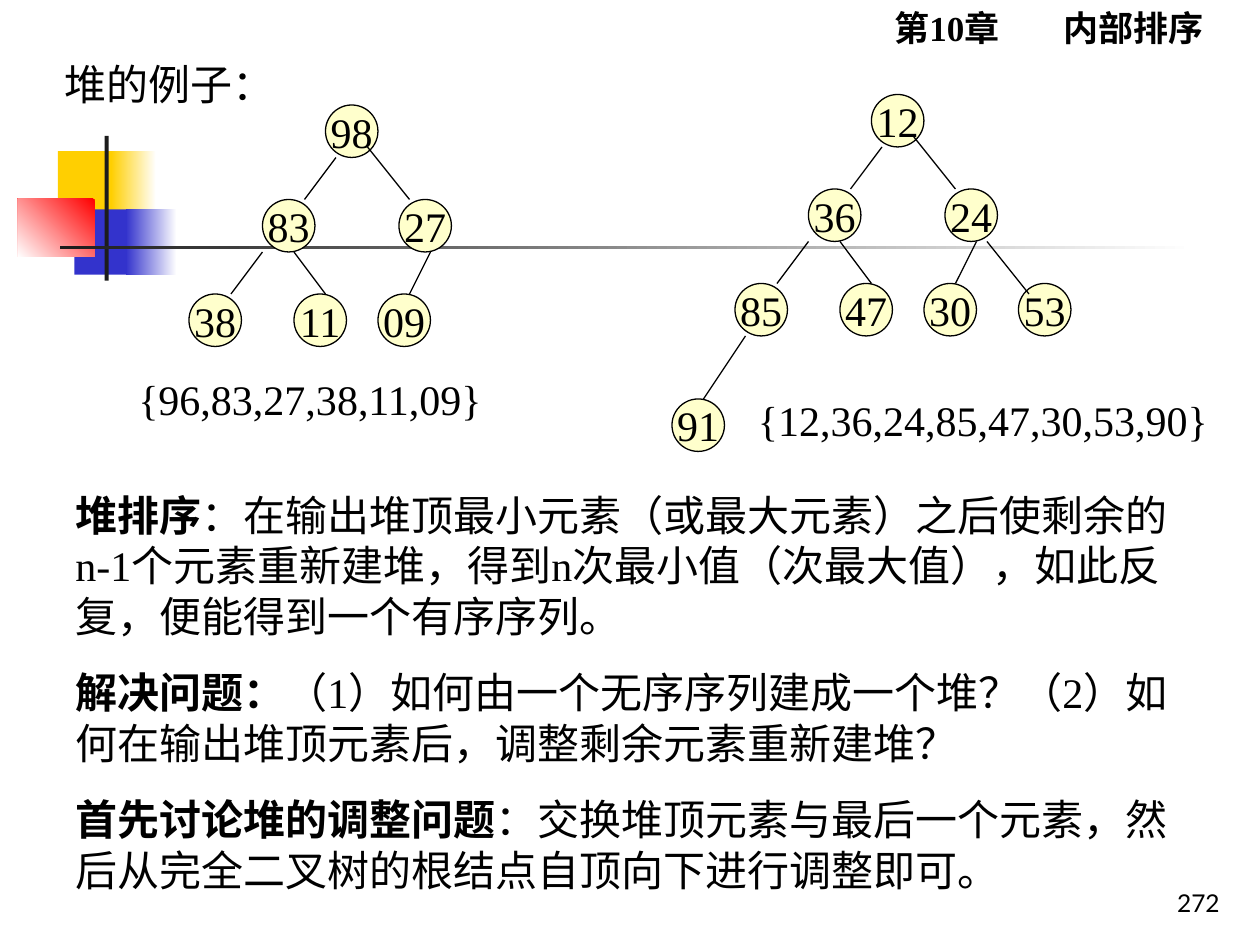
from lxml import etree
from pptx import Presentation
from pptx.dml.color import RGBColor
from pptx.enum.shapes import MSO_CONNECTOR as Connector, MSO_SHAPE as Shape
from pptx.enum.text import MSO_ANCHOR as Anchor, PP_ALIGN as Align
from pptx.oxml.ns import qn
from pptx.util import Cm, Pt

BLACK = RGBColor(0x00, 0x00, 0x00)
WHITE = RGBColor(0xFF, 0xFF, 0xFF)
CREAM = RGBColor(0xFF, 0xFF, 0xCC)
YELLOW = RGBColor(0xFF, 0xCF, 0x01)
BLUE = RGBColor(0x33, 0x33, 0xCC)
RED = RGBColor(0xFF, 0x00, 0x00)
CHARCOAL = RGBColor(0x1C, 0x1C, 0x1C)

# Trees sit on a grid of twelve cells to the inch; offsets start at the root
CELL = 2.54 / 12
NODE_CELLS = 5
NODE_OFFSETS = [(0, 0), (-6, 9), (7, 9), (-13, 18), (-3, 18), (5, 18),
                (14, 18), (-19, 29)]
# Branch to each node after the root, in the same order
BRANCHES = [((1, 5), (-2, 9)), ((4, 4), (8, 9)), ((-6, 14), (-9, 18)),
            ((-3, 14), (0, 18)), ((10, 14), (8, 18)), ((11, 14), (15, 19)),
            ((-12, 23), (-16, 29))]


class HeapSlide:
    serif = "Times New Roman"
    body_size = 24
    paragraph_gap = Pt(15)
    line_width = Pt(0.75)

    def __init__(self, slide):
        self.slide = slide

    def add_run(self, paragraph, text, size=body_size, font=serif, bold=False):
        run = paragraph.add_run()
        run.text = text
        run.font.size = Pt(size)
        run.font.name = font
        run.font.bold = bold
        run.font.color.rgb = BLACK

    def block(self, left, top, width, height, color, fade=None, angle=180):
        """A borderless rectangle, solid or running from color to fade."""
        block = self.slide.shapes.add_shape(
            Shape.RECTANGLE, Cm(left), Cm(top), Cm(width), Cm(height))
        block.shadow.inherit = False
        block.line.fill.background()
        if fade is None:
            block.fill.solid()
            block.fill.fore_color.rgb = color
            return
        block.fill.gradient()
        block.fill.gradient_angle = angle
        for stop, stop_color in zip(block.fill.gradient_stops, (color, fade)):
            stop.color.rgb = stop_color

    def text(self, left, top, width, height, paragraphs, align=Align.LEFT,
             anchor=Anchor.TOP, tab=None, **style):
        """Paragraphs are lists of (text, bold) runs."""
        box = self.slide.shapes.add_textbox(
            Cm(left), Cm(top), Cm(width), Cm(height))
        frame = box.text_frame
        frame.word_wrap = True
        frame.vertical_anchor = anchor
        for index, runs in enumerate(paragraphs):
            paragraph = frame.add_paragraph() if index else frame.paragraphs[0]
            paragraph.alignment = align
            if index:
                paragraph.space_before = self.paragraph_gap
            if tab:
                properties = paragraph._p.get_or_add_pPr()
                stops = etree.SubElement(properties, qn("a:tabLst"))
                etree.SubElement(stops, qn("a:tab"), pos=str(Cm(tab)), algn="l")
            for words, bold in runs:
                self.add_run(paragraph, words, bold=bold, **style)

    def node(self, shapes, column, row, key):
        side = Cm(NODE_CELLS * CELL)
        node = shapes.add_shape(
            Shape.OVAL, Cm(column * CELL), Cm(row * CELL), side, side)
        node.shadow.inherit = False
        node.fill.solid()
        node.fill.fore_color.rgb = CREAM
        node.line.color.rgb = BLACK
        node.line.width = self.line_width
        frame = node.text_frame
        frame.word_wrap = False
        frame.vertical_anchor = Anchor.MIDDLE
        frame.paragraphs[0].alignment = Align.CENTER
        self.add_run(frame.paragraphs[0], key)

    def branch(self, shapes, *cells):
        branch = shapes.add_connector(
            Connector.STRAIGHT, *(Cm(cell * CELL) for cell in cells))
        branch.line.color.rgb = BLACK
        branch.line.width = self.line_width
        etree.SubElement(branch._element.spPr, qn("a:effectLst"))

    def tree(self, column, row, keys):
        """A heap in level order with its root at the given grid cell."""
        shapes = self.slide.shapes.add_group_shape().shapes
        for key, (dx, dy) in zip(keys, NODE_OFFSETS):
            self.node(shapes, column + dx, row + dy, key)
        for (x1, y1), (x2, y2) in BRANCHES[:len(keys) - 1]:
            self.branch(shapes, column + x1, row + y1, column + x2, row + y2)


def main():
    deck = Presentation()
    deck.slide_width, deck.slide_height = Cm(25.4), Cm(19.05)
    page = HeapSlide(deck.slides.add_slide(deck.slide_layouts[6]))

    # Decoration behind the content
    page.block(1.17, 3.05, 1.22, 1.32, YELLOW)
    page.block(2.24, 3.05, 0.91, 1.32, WHITE, YELLOW)
    page.block(1.5, 4.22, 1.17, 1.32, BLUE)
    page.block(2.54, 4.22, 1.02, 1.32, WHITE, BLUE)
    page.block(0.36, 4.01, 1.55, 1.17, RED, WHITE, angle=225)
    page.block(2.11, 2.74, 0.08, 2.92, CHARCOAL)
    page.block(1.22, 4.95, 22.86, 0.08, WHITE, CHARCOAL)

    # Chapter heading
    page.text(17.78, 0, 7.62, 1.12, [[("第10章\t内部排序", True)]],
              tab=3.4, size=20)

    # Minimum heap and maximum heap
    page.tree(83, 9, ["12", "36", "24", "85", "47", "30", "53", "91"])
    page.tree(31, 10, ["98", "83", "27", "38", "11", "09"])
    page.text(2.54, 7.41, 9.74, 1.27, [[("{96,83,27,38,11,09}", False)]])
    page.text(15.03, 7.83, 9.74, 1.27, [[("{12,36,24,85,47,30,53,90}", False)]])
    page.text(1.06, 1.06, 5.08, 1.27, [[("堆的例子：", False)]])

    # Explanation
    page.text(1.27, 9.74, 22.65, 8.43, [
        [("堆排序", True),
         ("：在输出堆顶最小元素（或最大元素）之后使剩余的n-1个元素重新建堆，"
          "得到n次最小值（次最大值），如此反复，便能得到一个有序序列。", False)],
        [("解决问题：", True),
         ("（1）如何由一个无序序列建成一个堆？"
          "（2）如何在输出堆顶元素后，调整剩余元素重新建堆？", False)],
        [("首先讨论堆的调整问题", True),
         ("：交换堆顶元素与最后一个元素，"
          "然后从完全二叉树的根结点自顶向下进行调整即可。", False)],
    ])

    # Page number
    page.text(19.56, 17.35, 5.28, 1.27, [[("272", False)]],
              align=Align.RIGHT, anchor=Anchor.BOTTOM, size=14, font="Lato")

    deck.save("out.pptx")


if __name__ == "__main__":
    main()
